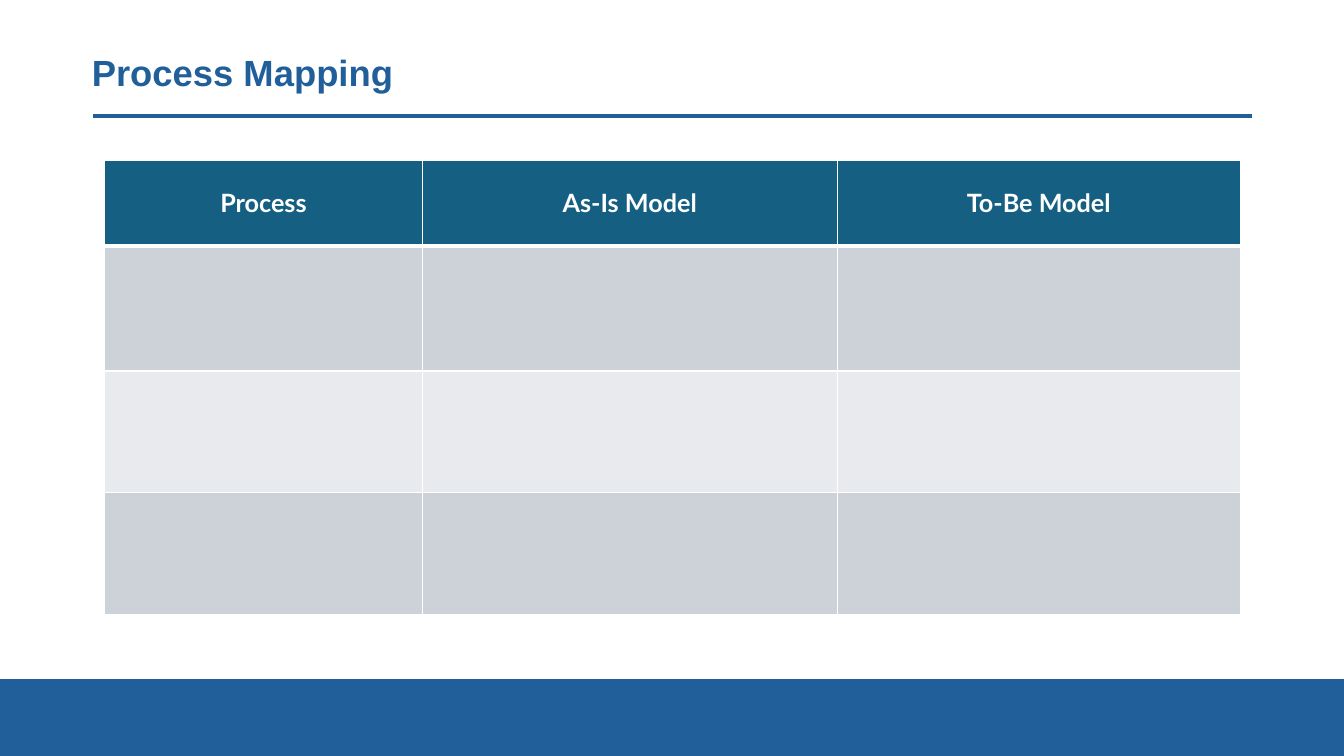
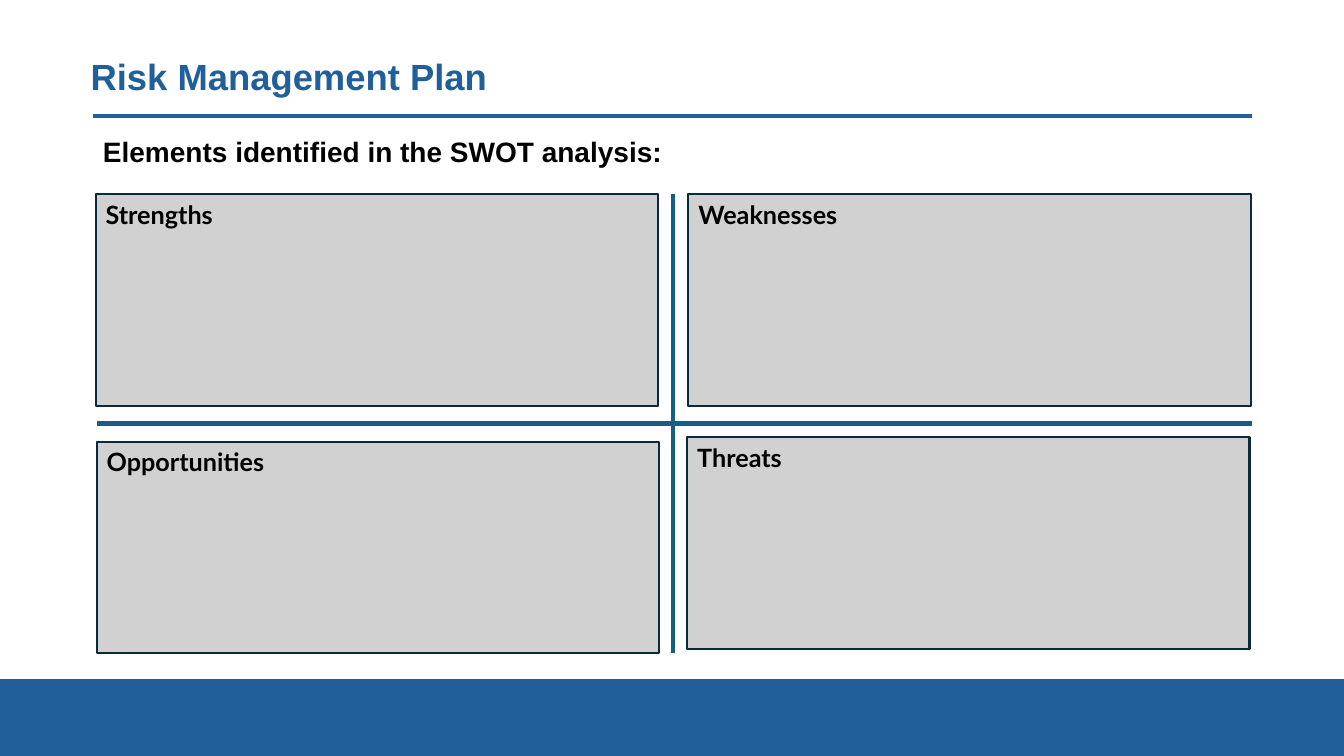
from lxml import etree
from pptx import Presentation
from pptx import util as u
from pptx.dml.color import RGBColor
from pptx.enum import shapes, text
from pptx.oxml import ns

COLORS = {
    "brand": "215F9A", "teal": "156082", "outline": "092A39", "panel": "D1D1D1",
    "stripe": "CCD2D8", "pale": "E8EAED", "white": "FFFFFF", "black": "000000",
}
TITLE = {"name": "Arial", "size": u.Pt(26), "bold": True}
LEAD = {"name": "Arial", "size": u.Pt(20), "bold": True}
LABEL = {"name": "Lato", "size": u.Pt(18), "bold": True}
SLIDE_WIDTH, SLIDE_HEIGHT = 33.87, 19.05
BAND_HEIGHT = 1.91
CONTENT_WIDTH = 29.21


def rgb(color):
    """Return the named colour."""
    return RGBColor.from_string(COLORS[color])


def apply(target, values):
    """Set each attribute in values on target."""
    for attribute, value in values.items():
        setattr(target, attribute, value)


def write(paragraph, words, style, color, **layout):
    """Fill a paragraph with words in one style."""
    paragraph.text = words
    apply(paragraph, layout)
    apply(paragraph.font, style)
    paragraph.font.color.rgb = rgb(color)


def add_rule(slide, start, end, color):
    """Draw a thick straight line between two points in cm."""
    rule = slide.shapes.add_connector(
        shapes.MSO_CONNECTOR.STRAIGHT, *(u.Cm(n) for n in start + end))
    rule.line.color.rgb = rgb(color)
    rule.line.width = u.Pt(3)
    etree.SubElement(rule.element.spPr, ns.qn("a:effectLst"))
    return rule


def add_box(slide, place, fill, outline):
    """Draw a filled rectangle with a thin outline."""
    box = slide.shapes.add_shape(
        shapes.MSO_SHAPE.RECTANGLE, *(u.Cm(n) for n in place))
    box.shadow.inherit = False
    box.fill.solid()
    box.fill.fore_color.rgb = rgb(fill)
    box.line.color.rgb = rgb(outline)
    box.line.width = u.Pt(1.5)
    return box


def decorate_master(slide):
    """Put the footer band and title rule on the slide's master."""
    band = add_box(slide, (0, SLIDE_HEIGHT - BAND_HEIGHT, SLIDE_WIDTH, BAND_HEIGHT),
                   "brand", "brand")
    rule = add_rule(slide, (2.34, 2.92), (31.55, 2.92), "brand")
    for decoration in (band, rule):
        slide.slide_layout.slide_master.shapes.element.append(decoration.element)


def fill_placeholder(holder, words, place, style, color, anchor):
    """Move a placeholder and write one plain paragraph in it."""
    apply(holder, dict(zip(("left", "top", "width", "height"), map(u.Cm, place))))
    apply(holder.text_frame, {"word_wrap": True, "vertical_anchor": anchor,
                              "auto_size": text.MSO_AUTO_SIZE.NONE})
    paragraph = holder.text_frame.paragraphs[0]
    properties = paragraph._p.get_or_add_pPr()
    apply_indent = {"marL": "0", "indent": "0"}
    for key, value in apply_indent.items():
        properties.set(key, value)
    etree.SubElement(properties, ns.qn("a:buNone"))
    write(paragraph, words, style, color, alignment=text.PP_ALIGN.LEFT,
          line_spacing=0.9, space_before=u.Pt(0))


def add_title(slide, words, left, top):
    """Write the slide title."""
    fill_placeholder(slide.shapes.title, words, (left, top, CONTENT_WIDTH, 1.91),
                     TITLE, "brand", text.MSO_ANCHOR.MIDDLE)


def set_borders(cell, widths):
    """Give a cell white borders with widths in points by side."""
    properties = cell._tc.get_or_add_tcPr()
    for side, width in widths.items():
        border = etree.SubElement(properties, ns.qn(f"a:ln{side}"), w=str(u.Pt(width)))
        fill = etree.SubElement(border, ns.qn("a:solidFill"))
        etree.SubElement(fill, ns.qn("a:srgbClr"), val=COLORS["white"])


def add_grid(slide, headings, left, top, widths, heights):
    """Add a table with a heading row and empty striped rows."""
    grid = slide.shapes.add_table(
        len(heights), len(widths), u.Cm(left), u.Cm(top),
        u.Cm(sum(widths)), u.Cm(sum(heights))).table
    grid.horz_banding = False
    for column, width in zip(grid.columns, widths):
        column.width = u.Cm(width)
    for number, (row, height) in enumerate(zip(grid.rows, heights)):
        row.height = u.Cm(height)
        fill = "teal" if number == 0 else "stripe" if number % 2 else "pale"
        for cell in row.cells:
            set_borders(cell, {"L": 1, "R": 1, "T": 3 if number == 1 else 1,
                               "B": 3 if number == 0 else 1})
            cell.fill.solid()
            cell.fill.fore_color.rgb = rgb(fill)
    for cell, heading in zip(grid.rows[0].cells, headings):
        cell.vertical_anchor = text.MSO_ANCHOR.MIDDLE
        write(cell.text_frame.paragraphs[0], heading, LABEL, "white",
              alignment=text.PP_ALIGN.CENTER)


def add_quadrant(slide, heading, left, top):
    """Add one SWOT panel with its heading at the top left."""
    panel = add_box(slide, (left, top, 14.17, 5.33), "panel", "outline")
    apply(panel.text_frame, {"word_wrap": True, "vertical_anchor": text.MSO_ANCHOR.TOP})
    write(panel.text_frame.paragraphs[0], heading, LABEL, "black",
          alignment=text.PP_ALIGN.LEFT)


def build_process(deck):
    """Build the process mapping slide."""
    slide = deck.slides.add_slide(deck.slide_layouts.get_by_name("Title Only"))
    decorate_master(slide)
    add_title(slide, "Process Mapping", 2.06, 0.94)
    add_grid(slide, ("Process", "As-Is Model", "To-Be Model"), 2.64, 4.04,
             (8, 10.46, 10.16), (2.16, 3.15, 3.07, 3.07))


def build_risk(deck):
    """Build the risk management slide."""
    slide = deck.slides.add_slide(deck.slide_layouts.get_by_name("Title and Content"))
    add_title(slide, "Risk Management Plan", 2.03, 1.02)
    fill_placeholder(slide.placeholders[1], "Elements identified in the SWOT analysis:",
                     (2.34, 3.35, CONTENT_WIDTH, 1.12), LEAD, "black",
                     text.MSO_ANCHOR.TOP)
    add_rule(slide, (16.97, 4.9), (16.97, 16.46), "teal")
    add_rule(slide, (2.44, 10.67), (31.55, 10.67), "teal")
    for heading, left, top in (("Strengths", 2.41, 4.9), ("Opportunities", 2.44, 11.13),
                               ("Weaknesses", 17.35, 4.9), ("Threats", 17.32, 11.02)):
        add_quadrant(slide, heading, left, top)


def main():
    """Build and save the presentation."""
    deck = Presentation()
    apply(deck, {"slide_width": u.Cm(SLIDE_WIDTH), "slide_height": u.Cm(SLIDE_HEIGHT)})
    build_process(deck)
    build_risk(deck)
    deck.save("out.pptx")


if __name__ == "__main__":
    main()
